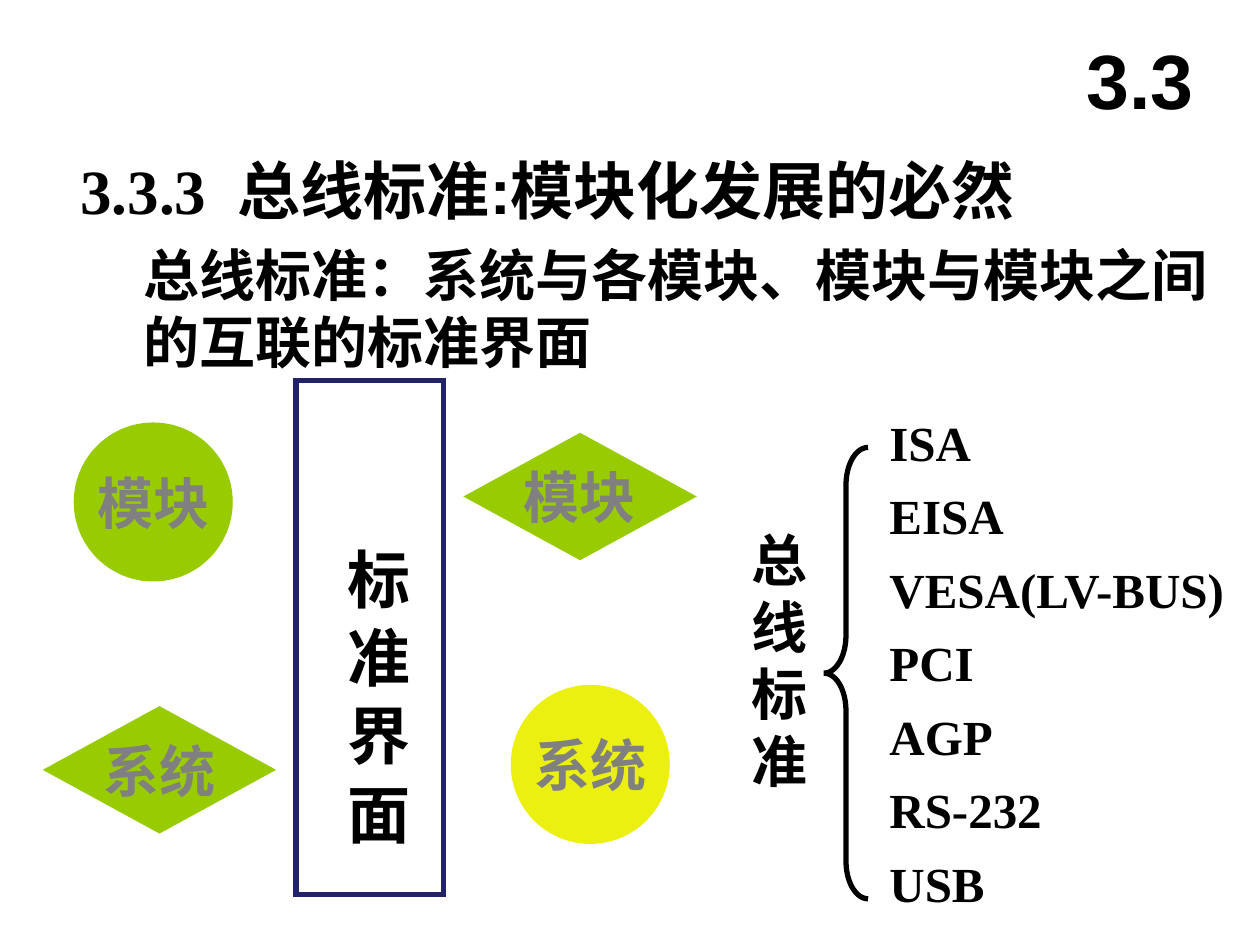
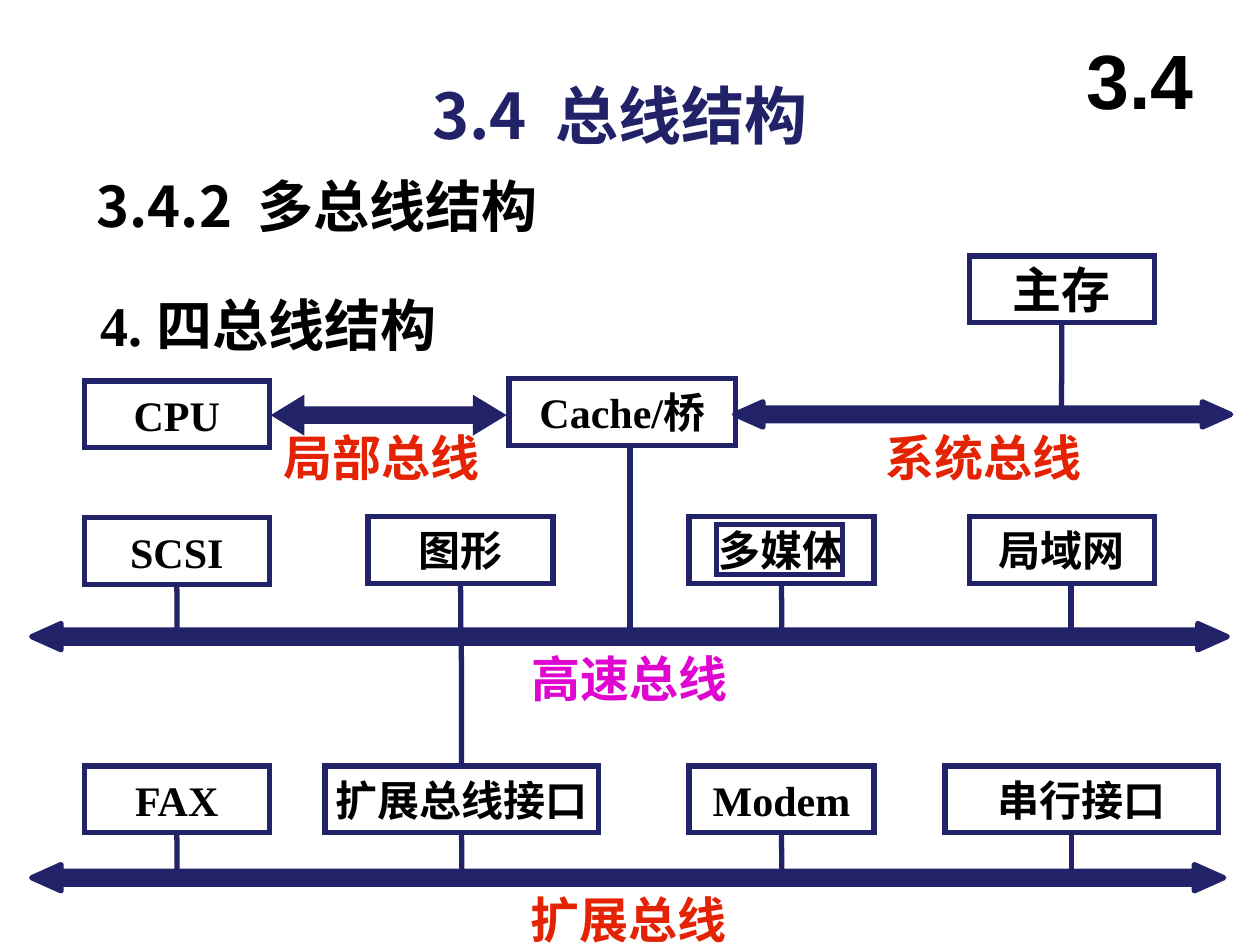
"""Build two slides on bus standards and the four-bus structure."""
from lxml import etree
from pptx import Presentation
from pptx import util as u
from pptx.dml import color
from pptx.enum import shapes, text
from pptx.oxml import ns

NAVY, BLACK, GREY = "222268", "000000", "808080"
GREEN, YELLOW, RED, MAGENTA = "99CC00", "EBF010", "E32303", "DF07D0"
TIMES, ARIAL, CJK = "Times New Roman", "Arial", "Noto Sans CJK SC"
KIND, ALIGN, ANCHOR = shapes.MSO_SHAPE, text.PP_ALIGN, text.MSO_ANCHOR
TIGHT, ROOMY, VERTICAL = (0, 0), (0.25, 0.13), (0.13, 0.25)
BOX_WIDTH, BOX_HEIGHT, WIDE_BOX = 3.73, 1.35, 5.51


def rgb(value):
    """Turn a hex string into a colour."""
    return color.RGBColor.from_string(value)


def assign(target, values):
    """Set each named attribute of the target."""
    for name, value in values.items():
        setattr(target, name, value)


def cm(*lengths):
    """Convert centimetres to slide lengths."""
    return [u.Cm(length) for length in lengths]


def add_child(parent, tag, **attributes):
    """Append a drawing element to an XML parent."""
    return etree.SubElement(parent, ns.qn(tag), attributes)


def write(shape, lines, size, font=TIMES, ink=BLACK, align=ALIGN.LEFT,
          anchor=ANCHOR.TOP, inset=ROOMY, wrap=False, spacing=1.0, before=0):
    """Write bold lines; a line is a string or a list of (words, font)."""
    frame = shape.text_frame
    side, end = cm(*inset)
    assign(frame, {"auto_size": text.MSO_AUTO_SIZE.NONE, "word_wrap": wrap,
                   "vertical_anchor": anchor, "margin_left": side,
                   "margin_right": side, "margin_top": end, "margin_bottom": end})
    for index, line in enumerate(lines):
        paragraph = frame.add_paragraph() if index else frame.paragraphs[0]
        assign(paragraph, {"alignment": align, "line_spacing": spacing,
                           "space_before": u.Pt(before)})
        for words, face in [(line, font)] if isinstance(line, str) else line:
            run = paragraph.add_run()
            run.text = words
            assign(run.font, {"size": u.Pt(size), "bold": True, "name": face})
            run.font.color.rgb = rgb(ink)
            add_child(run.font._element, "a:ea", typeface=CJK)


def add_text(slide, area, lines, size, **style):
    """Add a text box."""
    box = slide.shapes.add_textbox(*cm(*area))
    write(box, lines, size, **style)
    return box


def fill_placeholder(holder, area, lines, size, **style):
    """Move a placeholder and write its lines without bullets."""
    assign(holder, dict(zip(("left", "top", "width", "height"), cm(*area))))
    write(holder, lines, size, **style)
    for paragraph in holder.text_frame.paragraphs:
        properties = paragraph._p.get_or_add_pPr()
        for name in ("marL", "indent"):
            properties.set(name, "0")
        add_child(properties, "a:buNone")


def add_figure(slide, kind, area, fill=None, line=NAVY, width=3, join="miter"):
    """Add a preset shape with a plain outline."""
    figure = slide.shapes.add_shape(kind, *cm(*area))
    figure.shadow.inherit = False
    if fill:
        figure.fill.solid()
        figure.fill.fore_color.rgb = rgb(fill)
    else:
        figure.fill.background()
    figure.line.color.rgb = rgb(line)
    figure.line.width = u.Pt(width)
    limit = {"lim": "800000"} if join == "miter" else {}
    add_child(figure.line._get_or_add_ln(), f"a:{join}", **limit)
    return figure


def add_unit(slide, kind, area, label, fill):
    """Add a coloured module or system with its label."""
    unit = add_figure(slide, kind, area, fill, fill, 0.75)
    write(unit, [label], 32, ink=GREY, align=ALIGN.CENTER, anchor=ANCHOR.MIDDLE,
          inset=TIGHT)


def add_box(slide, label, left, top, width=BOX_WIDTH, size=24):
    """Add an outlined device box with a centred label."""
    box = add_figure(slide, KIND.RECTANGLE, (left, top, width, BOX_HEIGHT))
    font = TIMES if label[0].isascii() else CJK
    write(box, [label], size, font=font, align=ALIGN.CENTER,
          anchor=ANCHOR.MIDDLE, inset=TIGHT)
    return box


def add_bus(slide, area, shaft=0.5, head=1.12, join="round"):
    """Add a double-headed bus arrow."""
    bus = add_figure(slide, KIND.LEFT_RIGHT_ARROW, area, NAVY, join=join)
    bus.adjustments[0], bus.adjustments[1] = shaft, head


def add_link(slide, x, top, bottom, above=None, below=None):
    """Add a vertical line, joined to the boxes given at its ends."""
    ends = cm(x, top, x, bottom)
    link = slide.shapes.add_connector(shapes.MSO_CONNECTOR.STRAIGHT, *ends)
    link.line.color.rgb = rgb(NAVY)
    link.line.width = u.Pt(3)
    add_child(link._element.spPr, "a:effectLst")
    if above:
        link.begin_connect(above, 2)
    if below:
        link.end_connect(below, 0)


def add_marker(slide, number):
    """Add the section number in the top right corner."""
    add_text(slide, (21.39, 0.41, 3.18, 2.34), [number], 44, font=ARIAL,
             align=ALIGN.CENTER, anchor=ANCHOR.MIDDLE)


def build_standards(deck):
    """Build the slide on bus standards."""
    slide = deck.slides.add_slide(deck.slide_layouts[1])
    add_marker(slide, "3.3")
    heading = [("3.3.3  ", TIMES), ("总线标准:模块化发展的必然", ARIAL)]
    fill_placeholder(slide.shapes.title, (1.37, 2.92, 23, 1.78), [heading], 36)
    add_text(slide, (2.64, 4.72, 21.97, 2.97),
             ["总线标准：系统与各模块、模块与模块之间", "的互联的标准界面"], 32, font=ARIAL)

    for kind, left, top, label, fill in (
            (KIND.OVAL, 1.5, 8.53, "模块", GREEN),
            (KIND.OVAL, 10.31, 13.82, "系统", YELLOW),
            (KIND.DIAMOND, 0.89, 14.25, "系统", GREEN),
            (KIND.DIAMOND, 9.37, 8.74, "模块", GREEN)):
        size = (3.18, 3.18) if kind == KIND.OVAL else (4.65, 2.54)
        add_unit(slide, kind, (left, top, *size), label, fill)

    add_figure(slide, KIND.RECTANGLE, (5.97, 7.67, 2.97, 10.36))
    interface = add_text(slide, (6.45, 10.79, 2.03, 7.2), ["标 准 界 面"], 36,
                         inset=VERTICAL, wrap=True, before=22.5)
    interface.text_frame._txBody.bodyPr.set("vert", "eaVert")

    add_text(slide, (14.91, 10.46, 1.5, 5.69), list("总线标准"), 32)
    brace = add_figure(slide, KIND.LEFT_BRACE, (16.61, 9.02, 0.89, 9.1), line=BLACK)
    brace.adjustments[0] = 0.85
    standards = ["ISA", "EISA", "VESA(LV-BUS)", "PCI", "AGP", "RS-232", "USB"]
    fill_placeholder(slide.placeholders[1], (17.68, 7.88, 7.72, 10.64), standards,
                     28, spacing=1.25)


def build_four_buses(deck):
    """Build the slide on the four-bus structure."""
    slide = deck.slides.add_slide(deck.slide_layouts[5])
    add_marker(slide, "3.4")
    fill_placeholder(slide.shapes.title, (1.7, 0.71, 21.59, 3.18), ["3.4  总线结构"],
                     36, font=CJK, ink=NAVY, align=ALIGN.CENTER, anchor=ANCHOR.MIDDLE)
    add_text(slide, (1.7, 3.33, 12.19, 1.63), ["3.4.2  多总线结构"], 32, font=CJK)
    add_text(slide, (1.78, 5.72, 7.54, 1.63), ["4. 四总线结构"], 32)

    add_bus(slide, (5.56, 8.05, 4.55, 0.64), 0.38, 0.82, "miter")
    add_bus(slide, (14.81, 8.1, 10, 0.51))
    add_bus(slide, (0.64, 12.57, 24.1, 0.53))
    add_bus(slide, (0.64, 17.43, 24.03, 0.53))

    add_box(slide, "CPU", 1.7, 7.68)
    add_box(slide, "Cache/桥", 10.26, 7.63, 4.57)
    memory = add_box(slide, "主存", 19.54, 5.16, size=28)
    scsi = add_box(slide, "SCSI", 1.7, 10.44)
    graphics = add_box(slide, "图形", 7.42, 10.41)
    multimedia = add_box(slide, "多媒体", 13.89, 10.41)
    add_box(slide, "局域网", 19.54, 10.41)
    fax = add_box(slide, "FAX", 1.7, 15.44)
    expansion = add_box(slide, "扩展总线接口", 6.55, 15.44, WIDE_BOX)
    modem = add_box(slide, "Modem", 13.89, 15.44)
    add_box(slide, "串行接口", 19.05, 15.44, WIDE_BOX)
    add_figure(slide, KIND.RECTANGLE, (14.45, 10.57, 2.54, 1.02))

    add_link(slide, 21.4, 6.51, 8.33, memory)
    add_link(slide, 12.7, 8.98, 12.8)
    for x, device in ((3.57, scsi), (9.29, graphics), (15.76, multimedia), (21.59, None)):
        add_link(slide, x, 11.76, 12.76, device)
    add_link(slide, 9.3, 12.9, 15.44, below=expansion)
    for x, device in ((3.57, fax), (9.31, expansion), (15.76, modem), (21.6, None)):
        add_link(slide, x, 16.79, 17.83, device)

    for left, top, name, ink in ((5.72, 8.62, "局部总线", RED),
                                 (17.86, 8.62, "系统总线", RED),
                                 (10.72, 13.08, "高速总线", MAGENTA),
                                 (10.69, 17.93, "扩展总线", RED)):
        add_text(slide, (left, top, 3.94, 1.12), [name], 28, font=CJK, ink=ink,
                 inset=TIGHT)


def main():
    """Build and save the deck."""
    deck = Presentation()
    deck.slide_width, deck.slide_height = cm(25.4, 19.05)
    build_standards(deck)
    build_four_buses(deck)
    deck.save("out.pptx")


if __name__ == "__main__":
    main()
